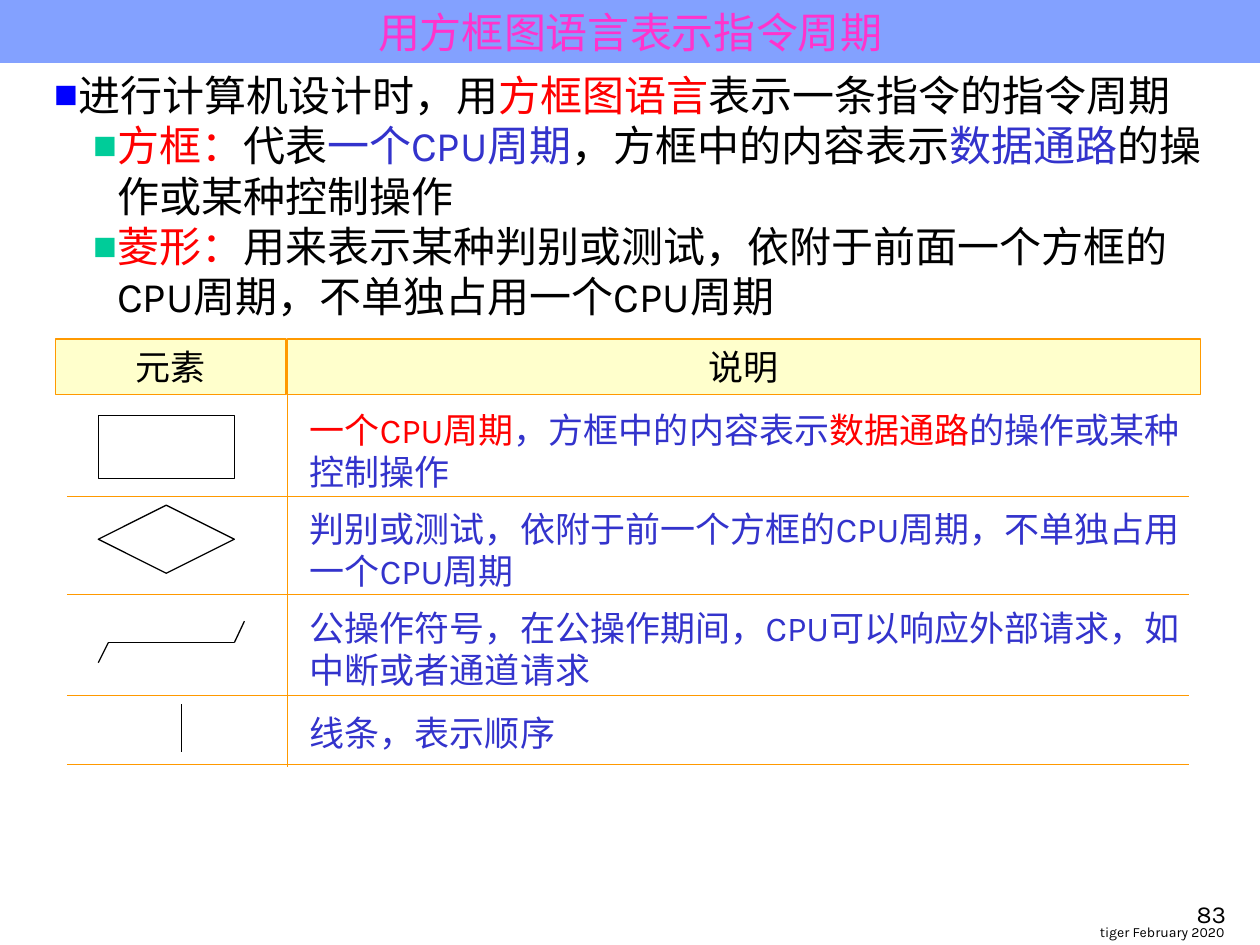
from lxml import etree
from pptx import Presentation
from pptx.dml.color import RGBColor
from pptx.enum.shapes import MSO_CONNECTOR, MSO_SHAPE
from pptx.enum.text import MSO_ANCHOR, MSO_AUTO_SIZE, PP_ALIGN
from pptx.oxml.ns import qn
from pptx.util import Inches, Pt

LEFT, CENTER, RIGHT = PP_ALIGN.LEFT, PP_ALIGN.CENTER, PP_ALIGN.RIGHT
TOP, MIDDLE, BOTTOM = MSO_ANCHOR.TOP, MSO_ANCHOR.MIDDLE, MSO_ANCHOR.BOTTOM
RECTANGLE, DIAMOND = MSO_SHAPE.RECTANGLE, MSO_SHAPE.FLOWCHART_DECISION
STRAIGHT, NO_FIT = MSO_CONNECTOR.STRAIGHT, MSO_AUTO_SIZE.NONE

FONT = "Karla"
COLORS = {
    "black": "000000", "red": "FF0000", "indigo": "3333CC", "pink": "FF33CC",
    "banner": "83A1FF", "cream": "FFFFCC", "orange": "FF9900",
    "blue": "0000FF", "green": "00CC99",
}
COLUMNS, ROWS = 100, 75
BULLETS = [("blue", 0.19), ("green", 0.5)]
HANGING = 0.19

BODY = [
    (0, [("进行计算机设计时，用", "black"), ("方框图语言", "red"),
         ("表示一条指令的指令周期", "black")]),
    (1, [("方框：", "red"), ("代表", "black"), ("一个CPU周期", "indigo"),
         ("，方框中的内容表示", "black"), ("数据通路", "indigo"),
         ("的操作或某种控制操作", "black")]),
    (1, [("菱形：", "red"),
         ("用来表示某种判别或测试，依附于前面一个方框的CPU周期，"
          "不单独占用一个CPU周期", "black")]),
]
HEADERS = [("元素", 4.4, 18.3), ("说明", 22.8, 72.5)]
EXPLANATIONS = [
    (31.9, 7.7, [("一个CPU周期", "red"), ("，方框中的内容表示", "indigo"),
                 ("数据通路", "red"), ("的操作或某种控制操作", "indigo")]),
    (39.8, 7.7, [("判别或测试，依附于前一个方框的CPU周期，"
                  "不单独占用一个CPU周期", "indigo")]),
    (47.6, 7.7, [("公操作符号，在公操作期间，CPU可以响应外部请求，"
                  "如中断或者通道请求", "indigo")]),
    (55.9, 4.4, [("线条，表示顺序", "indigo")]),
]
ROW_RULES = [39.4, 47.2, 55.2, 60.7]
COMMON_OPERATION = [(7.8, 52.6), (8.6, 51), (18.6, 51), (19.4, 49.3)]


def color(name):
    """Return the named colour of the palette."""
    return RGBColor.from_string(COLORS[name])


def write(para, spans, size=20, align=LEFT):
    """Fill a paragraph with coloured spans of text."""
    para.alignment = align
    para.space_before = Pt(0)
    for text, name in spans:
        span = para.add_run()
        span.text = text
        span.font.name = FONT
        span.font.size = Pt(size)
        span.font.color.rgb = color(name)


def add_bullet(para, level):
    """Give a paragraph the square bullet and indent of its level."""
    name, indent = BULLETS[level]
    para.level = level
    properties = para._p.get_or_add_pPr()
    properties.set("marL", str(Inches(indent)))
    properties.set("indent", str(-Inches(HANGING)))
    tint = etree.SubElement(properties, qn("a:buClr"))
    etree.SubElement(tint, qn("a:srgbClr"), val=COLORS[name])
    etree.SubElement(properties, qn("a:buSzPct"), val="60000")
    etree.SubElement(properties, qn("a:buFont"), typeface=FONT)
    etree.SubElement(properties, qn("a:buChar"), char="■")


class Board:
    """Hold the style and the slide that is being drawn on a grid."""

    def __init__(self, deck):
        """Add a title and content slide to the deck."""
        self.page = deck.slides.add_slide(deck.slide_layouts[1])
        self.column = deck.slide_width / COLUMNS
        self.row = deck.slide_height / ROWS

    def place(self, *cells):
        """Turn alternating columns and rows into lengths."""
        return [round(cell * (self.row if index % 2 else self.column))
                for index, cell in enumerate(cells)]

    def frame(self, box, anchor, inset=True):
        """Set up the text frame of a box and return it."""
        frame = box.text_frame
        frame.word_wrap = True
        frame.auto_size = NO_FIT
        frame.vertical_anchor = anchor
        frame.margin_left = frame.margin_right = Inches(0.1 if inset else 0)
        frame.margin_top = frame.margin_bottom = Inches(0.05 if inset else 0)
        return frame

    def move(self, box, *cells):
        """Move a placeholder to its cells."""
        box.left, box.top, box.width, box.height = self.place(*cells)

    def title(self, text, *cells):
        """Format the title placeholder as a banner."""
        box = self.page.shapes.title
        self.move(box, *cells)
        box.fill.solid()
        box.fill.fore_color.rgb = color("banner")
        frame = self.frame(box, MIDDLE)
        write(frame.paragraphs[0], [(text, "pink")], size=24, align=CENTER)

    def body(self, items, *cells):
        """Fill the body placeholder with a bulleted list."""
        box = self.page.placeholders[1]
        self.move(box, *cells)
        frame = self.frame(box, TOP)
        for index, (level, spans) in enumerate(items):
            para = frame.add_paragraph() if index else frame.paragraphs[0]
            add_bullet(para, level)
            write(para, spans, size=24)

    def text(self, spans, *cells, anchor=MIDDLE, inset=True, **style):
        """Add a text box."""
        box = self.page.shapes.add_textbox(*self.place(*cells))
        write(self.frame(box, anchor, inset).paragraphs[0], spans, **style)

    def shape(self, kind, *cells, line="black", fill=None):
        """Add an outlined shape and return it."""
        box = self.page.shapes.add_shape(kind, *self.place(*cells))
        box.shadow.inherit = False
        box.line.color.rgb = color(line)
        box.line.width = Pt(0.75)
        if fill:
            box.fill.solid()
            box.fill.fore_color.rgb = color(fill)
        else:
            box.fill.background()
        return box

    def header(self, text, *cells):
        """Add a header cell."""
        box = self.shape(RECTANGLE, *cells, line="orange", fill="cream")
        write(self.frame(box, MIDDLE).paragraphs[0], [(text, "black")],
              align=CENTER)

    def line(self, *cells, name="black"):
        """Add a straight line between two grid points."""
        line = self.page.shapes.add_connector(STRAIGHT, *self.place(*cells))
        line.line.color.rgb = color(name)
        line.line.width = Pt(0.75)
        etree.SubElement(line._element.spPr, qn("a:effectLst"))


def main():
    """Build the slide and save it."""
    deck = Presentation()
    deck.slide_width, deck.slide_height = Inches(10), Inches(7.5)
    board = Board(deck)
    board.title("用方框图语言表示指令周期", 0, 0, 100, 5)
    board.body(BODY, 3.3, 5, 93.3, 64.2)

    board.shape(RECTANGLE, 7.8, 33, 10.8, 5)
    board.shape(DIAMOND, 7.8, 40.1, 10.8, 5.4)
    for start, end in zip(COMMON_OPERATION, COMMON_OPERATION[1:]):
        board.line(*start, *end)
    board.line(14.4, 55.9, 14.4, 59.7)

    for top, height, spans in EXPLANATIONS:
        board.text(spans, 23.6, top, 71.7, height)
    for text, left, width in HEADERS:
        board.header(text, left, 26.9, width, 4.4)
    board.line(22.8, 31, 22.8, 60.9, name="orange")
    for row in ROW_RULES:
        board.line(5.3, row, 94.4, row, name="orange")

    board.text([("83", "black")], 77.5, 69.2, 20.8, 5,
               anchor=BOTTOM, size=14, align=RIGHT)
    board.text([("tiger February 2020", "black")], 81.7, 73.3, 15.5, 1.3,
               anchor=TOP, inset=False, size=8, align=RIGHT)
    deck.save("out.pptx")


if __name__ == "__main__":
    main()
